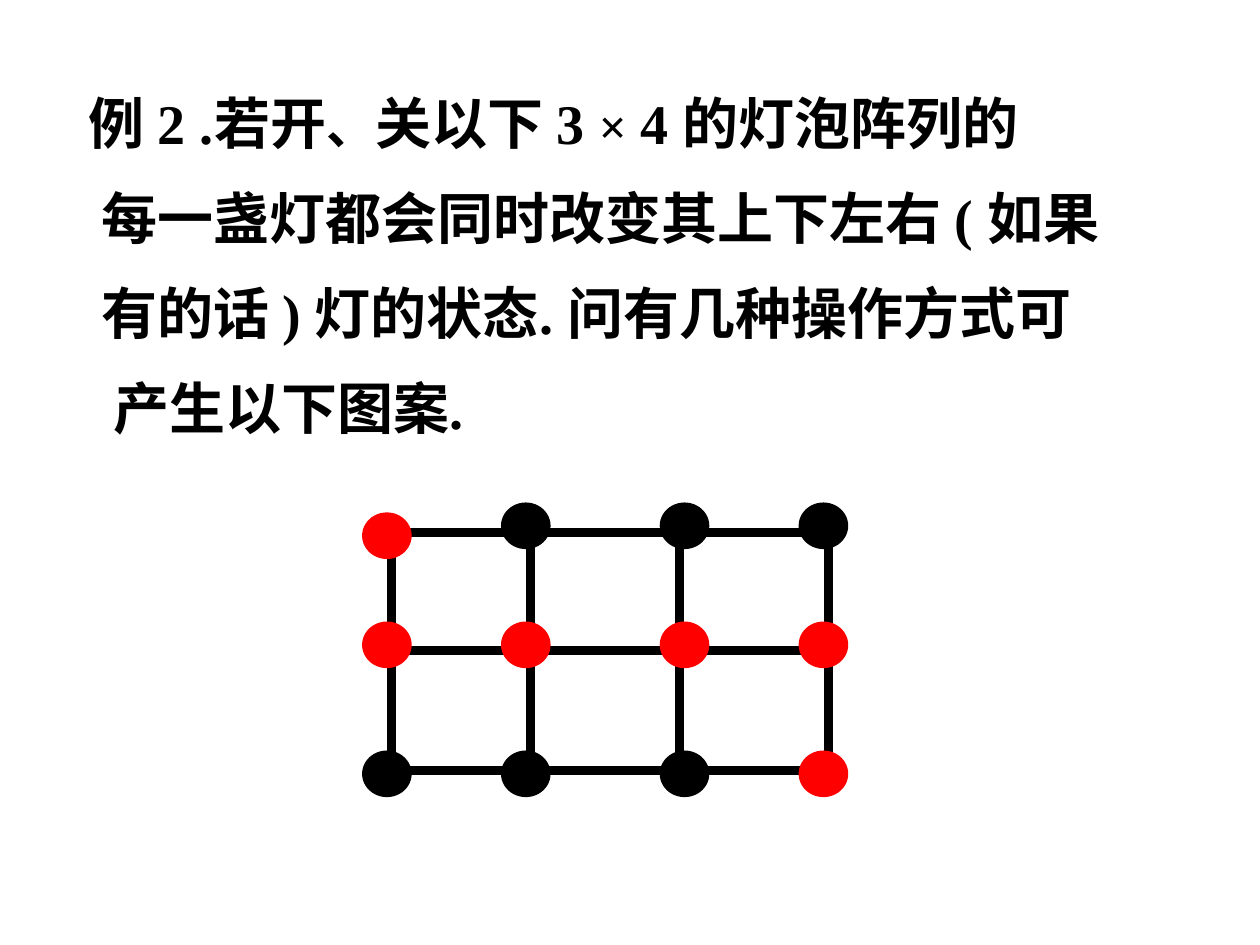
from lxml import etree
from pptx import Presentation
from pptx import util as u
from pptx.dml.color import RGBColor
from pptx.enum import shapes, text
from pptx.oxml.ns import qn

BLACK = RGBColor(0, 0, 0)
RED = RGBColor(255, 0, 0)
SERIF = "Times New Roman"
SANS = "Arial"


def add_run(paragraph, words, size=32, font=SERIF, color=BLACK, bold=True):
    run = paragraph.add_run()
    run.text = words
    run.font.size = u.Pt(size)
    run.font.name = font
    run.font.bold = bold
    run.font.color.rgb = color


class Board:
    wire_width = u.Pt(5)
    lamp_width = u.Cm(1)
    lamp_height = u.Cm(0.94)

    def __init__(self, slide):
        self.slide = slide

    def problem(self, left, top, width, height, lines, indents, tab):
        box = self.slide.shapes.add_textbox(u.Cm(left), u.Cm(top), u.Cm(width), u.Cm(height))
        frame = box.text_frame
        frame.word_wrap = True
        frame.vertical_anchor = text.MSO_ANCHOR.TOP
        for index, (runs, indent) in enumerate(zip(lines, indents)):
            paragraph = frame.add_paragraph() if index else frame.paragraphs[0]
            paragraph.line_spacing = 1.25
            if index:
                paragraph.space_before = u.Pt(6.4)
            properties = paragraph._p.get_or_add_pPr()
            properties.set("marL", str(u.Cm(indent)))
            properties.set("indent", "0")
            if not index:
                stops = etree.SubElement(properties, qn("a:tabLst"))
                etree.SubElement(stops, qn("a:tab"), pos=str(u.Cm(tab)), algn="l")
            for words, style in runs:
                add_run(paragraph, words, **style)

    def wire(self, x1, y1, x2, y2):
        line = self.slide.shapes.add_connector(
            shapes.MSO_CONNECTOR.STRAIGHT, u.Cm(x1), u.Cm(y1), u.Cm(x2), u.Cm(y2))
        line.line.color.rgb = BLACK
        line.line.width = self.wire_width
        etree.SubElement(line._element.spPr, qn("a:effectLst"))

    def lamp(self, left, top, color):
        bulb = self.slide.shapes.add_shape(
            shapes.MSO_SHAPE.OVAL, u.Cm(left), u.Cm(top), self.lamp_width, self.lamp_height)
        bulb.shadow.inherit = False
        bulb.fill.solid()
        bulb.fill.fore_color.rgb = color
        bulb.line.fill.background()


def main():
    deck = Presentation()
    deck.slide_width, deck.slide_height = u.Cm(25.4), u.Cm(19.05)
    board = Board(deck.slides.add_slide(deck.slide_layouts[6]))

    lines = [
        [("例 ", {"font": SANS}), ("2 .\t若开", {}), ("、", {"size": 28, "font": SANS}),
         ("关以下 3 ", {}), ("×", {"size": 28}), (" 4 的灯泡阵列的", {})],
        [("每一盏灯都会同时改变其上下左右 ( 如果", {})],
        [("有的话 ) 灯的状态. 问有几种操作方式可", {})],
        [("产生以下图案.", {})],
    ]
    board.problem(1.54, 1.32, 22.6, 8, lines, indents=(0, 0.25, 0.25, 0.5), tab=4)

    wire_columns = (7.89, 10.69, 13.7, 16.7)
    for y, right in zip((10.73, 13.12, 15.53), (16.7, 16.9, 16.9)):
        board.wire(wire_columns[0], y, right, y)
    for x in wire_columns:
        board.wire(x, 10.52, x, 15.72)

    lamp_columns = (7.3, 10.1, 13.3, 16.1)
    lamp_rows = (10.13, 12.53, 15.13)
    pattern = ("RBBB", "RRRR", "BBBR")
    for row, (top, states) in enumerate(zip(lamp_rows, pattern)):
        for column, (left, state) in enumerate(zip(lamp_columns, states)):
            drop = 0.2 if row == column == 0 else 0
            board.lamp(left, top + drop, RED if state == "R" else BLACK)

    deck.save("out.pptx")


if __name__ == "__main__":
    main()
